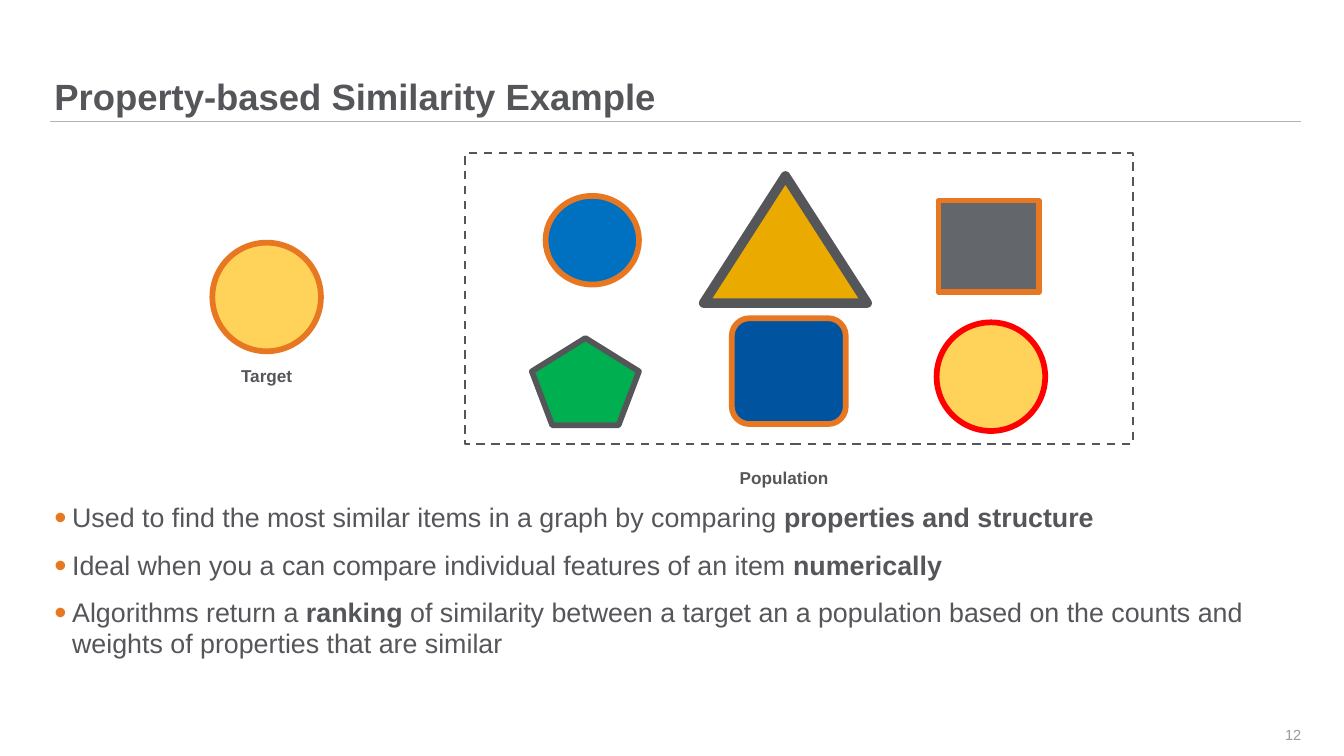
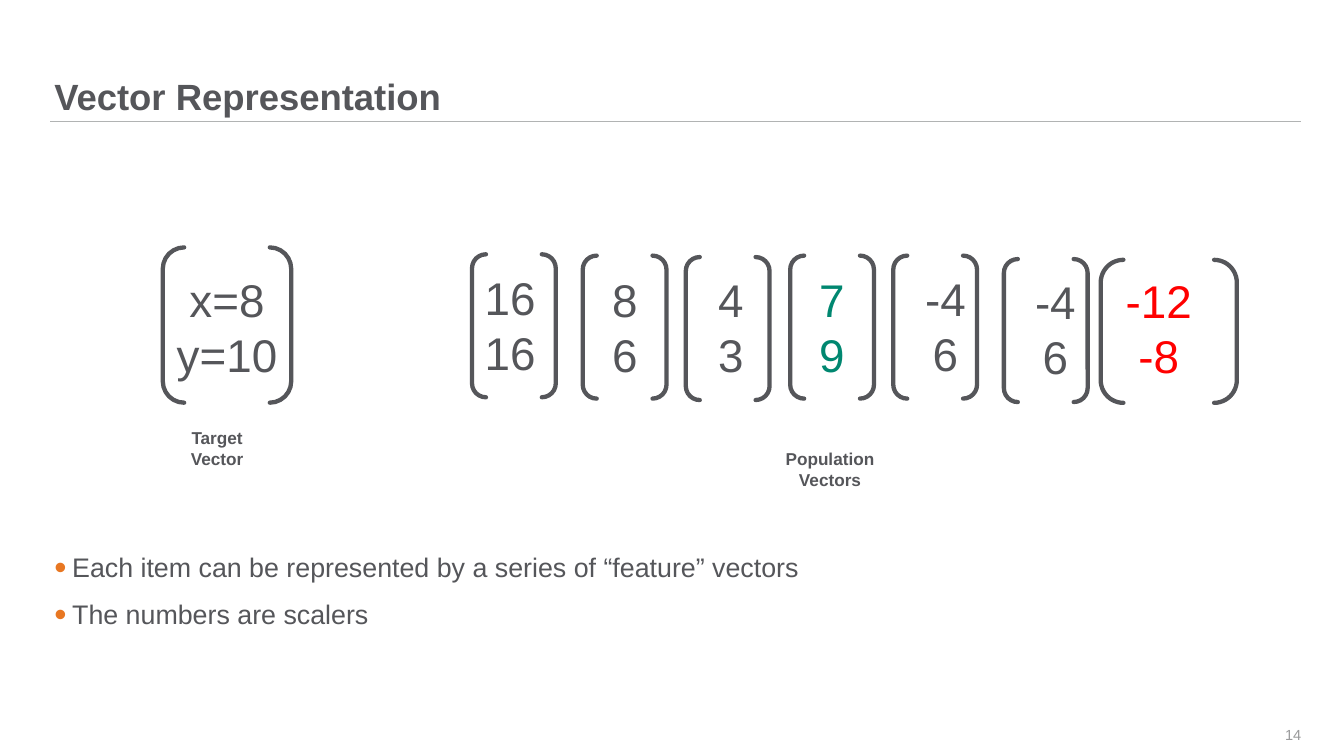
from lxml import etree
from pptx import Presentation
from pptx.dml.color import RGBColor
from pptx.enum.dml import MSO_LINE
from pptx.enum.shapes import MSO_CONNECTOR, MSO_SHAPE
from pptx.enum.text import MSO_ANCHOR, PP_ALIGN
from pptx.oxml.ns import qn
from pptx.util import Pt

OVAL, RECTANGLE = MSO_SHAPE.OVAL, MSO_SHAPE.RECTANGLE
TRIANGLE, PENTAGON = MSO_SHAPE.ISOSCELES_TRIANGLE, MSO_SHAPE.REGULAR_PENTAGON
ROUNDED, BRACKETS = MSO_SHAPE.ROUNDED_RECTANGLE, MSO_SHAPE.DOUBLE_BRACKET
LEFT, CENTER, RIGHT = PP_ALIGN.LEFT, PP_ALIGN.CENTER, PP_ALIGN.RIGHT
TOP, MIDDLE, BOTTOM = MSO_ANCHOR.TOP, MSO_ANCHOR.MIDDLE, MSO_ANCHOR.BOTTOM

COLOURS = {
    "text": "55565A", "rule": "B1B3B3", "page number": "999A9B",
    "orange": "E87722", "yellow": "FFD259", "gold": "EAAA00",
    "blue": "0070C0", "navy": "00549F", "grey": "63666A",
    "green": "00B050", "teal": "008770", "red": "FF0000",
}
FONT = "Arial"
MARGIN, CONTENT_WIDTH = 56.9, 1306.8


def colour(name):
    return RGBColor.from_string(COLOURS[name])


def add_text(page, lines, left, top, width, height, size=18, ink="text", bold=False,
             align=CENTER, anchor=TOP, inset=True, spacing=None, bullets=False):
    """Add one paragraph per line; parts between ** marks switch to bold."""
    box = page.shapes.add_textbox(Pt(left), Pt(top), Pt(width), Pt(height))
    frame = box.text_frame
    frame.word_wrap = True
    frame.vertical_anchor = anchor
    if not inset:
        frame.margin_left = frame.margin_right = Pt(0)
        frame.margin_top = frame.margin_bottom = Pt(0)
    for index, line in enumerate(lines):
        para = frame.add_paragraph() if index else frame.paragraphs[0]
        para.alignment = align
        para.line_spacing = spacing
        if bullets:
            para.space_before, para.space_after = Pt(10.2), Pt(7.7)
            properties = para._p.get_or_add_pPr()
            properties.set("marL", str(Pt(18.7)))
            properties.set("indent", str(-Pt(18.7)))
            bullet_colour = etree.SubElement(properties, qn("a:buClr"))
            etree.SubElement(bullet_colour, qn("a:srgbClr"), val=COLOURS["orange"])
            etree.SubElement(properties, qn("a:buSzPct"), val="130000")
            etree.SubElement(properties, qn("a:buFont"), typeface=FONT)
            etree.SubElement(properties, qn("a:buChar"), char="•")
        for part, words in enumerate(line.split("**")):
            if words:
                span = para.add_run()
                span.text = words
                span.font.name = FONT
                span.font.size = Pt(size)
                span.font.bold = bold or part % 2 == 1
                span.font.color.rgb = colour(ink)


def add_figure(page, kind, left, top, width, height, fill=None, line="orange", weight=6):
    figure = page.shapes.add_shape(kind, Pt(left), Pt(top), Pt(width), Pt(height))
    figure.shadow.inherit = False
    if fill:
        figure.fill.solid()
        figure.fill.fore_color.rgb = colour(fill)
    else:
        figure.fill.background()
    figure.line.color.rgb = colour(line)
    figure.line.width = Pt(weight)
    return figure


deck = Presentation()
deck.slide_width, deck.slide_height = Pt(1408.32), Pt(792)

# What both slides share: title, rule, bullets and page number
contents = [
    ("Property-based Similarity Example", "12", 527, 195.8, [
        "Used to find the most similar items in a graph by comparing "
        "**properties and structure**",
        "Ideal when you a can compare individual features of an item **numerically**",
        "Algorithms return a **ranking** of similarity between a target an a population "
        "based on the counts and weights of properties that are similar",
    ]),
    ("Vector Representation", "14", 578.9, 136.1, [
        "Each item can be represented by a series of “feature” vectors",
        "The numbers are scalers",
    ]),
]
for title, number, body_top, body_height, points in contents:
    page = deck.slides.add_slide(deck.slide_layouts[6])
    rule = page.shapes.add_connector(
        MSO_CONNECTOR.STRAIGHT, Pt(52.6), Pt(127.4), Pt(1363.7), Pt(127.4))
    rule.line.color.rgb = colour("rule")
    rule.line.width = Pt(1)
    etree.SubElement(rule.element.spPr, qn("a:effectLst"))
    add_text(page, [title], MARGIN, 0, CONTENT_WIDTH, 123.8, size=38.2, bold=True,
             align=LEFT, anchor=BOTTOM, inset=False, spacing=0.9)
    add_text(page, points, MARGIN, body_top, CONTENT_WIDTH, body_height, size=28.1,
             align=LEFT, inset=False, spacing=0.95, bullets=True)
    add_text(page, [number], 1301, 748.8, 62.7, 42.5, size=15.3, ink="page number",
             align=RIGHT, anchor=MIDDLE, inset=False)

similarity_page, vector_page = deck.slides

# Target and population of shapes
population_frame = add_figure(similarity_page, RECTANGLE, 487.4, 160.6, 699.8, 304.6,
                              line="text", weight=2.25)
population_frame.line.dash_style = MSO_LINE.DASH
figures = [
    (OVAL, 222.5, 254.2, 113.8, 113.8, "yellow", "orange", 6),
    (OVAL, 571.7, 205.2, 97.9, 92.9, "blue", "orange", 6),
    (TRIANGLE, 737.3, 184.3, 171.4, 133.2, "gold", "text", 10),
    (RECTANGLE, 983.5, 210.2, 105.1, 95.8, "grey", "orange", 6),
    (PENTAGON, 557.3, 354.2, 112.3, 91.4, "green", "text", 6),
    (ROUNDED, 766.8, 333.4, 119.5, 110.9, "navy", "orange", 6),
    (OVAL, 981.4, 337.7, 113.8, 113.8, "yellow", "red", 6),
]
for figure in figures:
    add_figure(similarity_page, *figure)

# Vectors: bracket box, then left, top and width of the numbers
vectors = [
    (["x=8", "y=10"], (170.6, 259.2, 134.6, 162.7), (170.6, 280.8, 134.6), "text"),
    (["16", "16"], (494.6, 266.4, 87.8, 149.8), (467.3, 279.4, 134.6), "text"),
    (["8", "6"], (610.6, 267.8, 87.8, 149.8), (587.5, 280.8, 134.6), "text"),
    (["4", "3"], (718.6, 269.3, 87.8, 149.8), (742.3, 280.8, 46.8), "text"),
    (["7", "9"], (828, 267.8, 87.8, 149.8), (848.2, 280.8, 46.8), "teal"),
    (["-4", "6"], (936, 267.8, 87.8, 149.8), (956.9, 280.1, 67.7), "text"),
    (["-4", "6"], (1051.9, 271.4, 87.8, 149.8), (1072.1, 283.7, 67.7), "text"),
    (["-12", "-8"], (1153.4, 272.2, 142.6, 149.8), (1159.9, 282.2, 108.7), "red"),
]
for numbers, bracket_box, number_box, ink in vectors:
    brackets = add_figure(vector_page, BRACKETS, *bracket_box, line="text", weight=4.5)
    brackets.element.spPr.find(qn("a:ln")).set("cap", "rnd")
    add_text(vector_page, numbers, *number_box, 123.8, size=48, ink=ink)

captions = [
    (similarity_page, "Target", 222.5, 378.7, 113.8, 28.8),
    (similarity_page, "Population", 734.4, 486, 174.2, 28.8),
    (vector_page, "Target Vector", 170.6, 444.2, 113.8, 51.1),
    (vector_page, "Population Vectors", 782.6, 466.6, 174.2, 51.1),
]
for page, caption, *place in captions:
    add_text(page, [caption], *place, bold=True)

deck.save("out.pptx")
